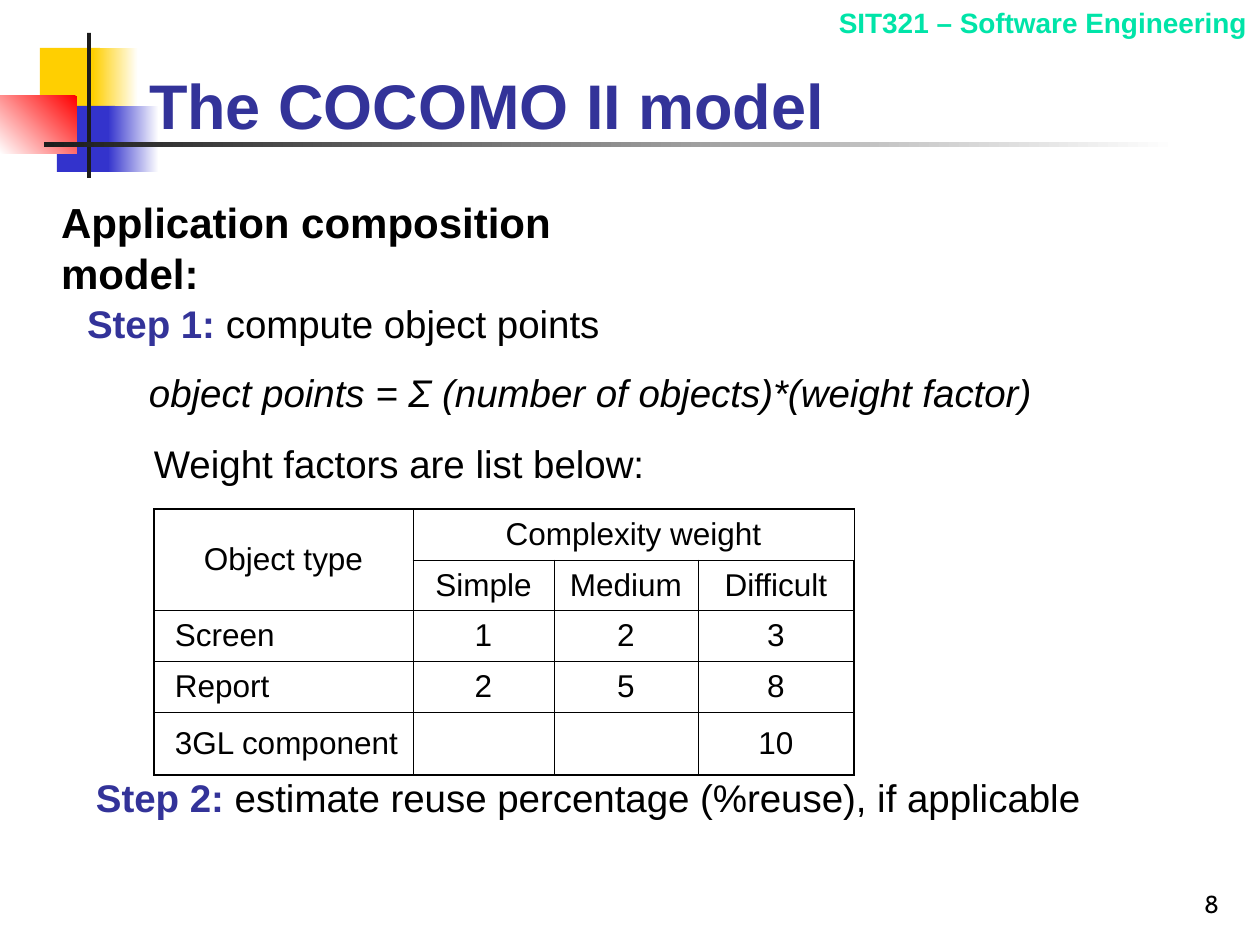
"""Build the COCOMO II slide on the application composition model."""
from dataclasses import dataclass

from lxml import etree
from pptx import Presentation
from pptx.dml.color import RGBColor
from pptx.enum.shapes import MSO_SHAPE
from pptx.enum.text import MSO_ANCHOR, PP_ALIGN
from pptx.oxml.ns import qn
from pptx.util import Emu, Pt

RECTANGLE = MSO_SHAPE.RECTANGLE
TOP, MIDDLE, BOTTOM = MSO_ANCHOR.TOP, MSO_ANCHOR.MIDDLE, MSO_ANCHOR.BOTTOM
LEFT, CENTER, RIGHT = PP_ALIGN.LEFT, PP_ALIGN.CENTER, PP_ALIGN.RIGHT
EMU_PER_PX = 914400 / 126


@dataclass(frozen=True)
class Theme:
    """Colours, fonts, type sizes and line widths of the slide."""
    black: str = "000000"
    white: str = "FFFFFF"
    heading: str = "333399"
    course: str = "00E4A8"
    yellow: str = "FFCF01"
    blue: str = "3333CC"
    red: str = "FF0000"
    bar: str = "1C1C1C"
    font: str = "Arial"
    number_font: str = "Cabin"
    title_size: int = 36
    subtitle_size: int = 24
    body_size: int = 22
    table_size: int = 18
    course_size: int = 16
    number_size: int = 14
    outer_line: float = 1.08
    inner_line: float = 0.45


THEME = Theme()

DECORATIONS = [
    ((40, 48, 60, 66), (THEME.yellow,), 0),
    ((93, 48, 45, 66), (THEME.white, THEME.yellow), 180),
    ((57, 106, 58, 66), (THEME.blue,), 0),
    ((108, 106, 51, 66), (THEME.white, THEME.blue), 180),
    ((0, 96, 77, 58), (THEME.red, THEME.white), 225),
    ((87, 33, 4, 145), (THEME.bar,), 0),
    ((44, 142, 1134, 5), (THEME.white, THEME.bar), 180),
]
WEIGHTS = [
    ["Object type", "Complexity weight", "", ""],
    ["", "Simple", "Medium", "Difficult"],
    ["Screen", "1", "2", "3"],
    ["Report", "2", "5", "8"],
    ["3GL component", "", "", "10"],
]
COLUMN_WIDTHS = [259, 141, 144, 156]
ROW_HEIGHTS = [51, 50, 51, 50, 63]
HEADER_ROWS = 2


def px(length):
    """Turn pixels into EMU."""
    return Emu(round(length * EMU_PER_PX))


def rgb(colour):
    """Turn a hex string into a colour."""
    return RGBColor.from_string(colour)


def add_decoration(slide, box, colours, angle):
    """Add a borderless rectangle with a plain or two-colour gradient fill."""
    block = slide.shapes.add_shape(RECTANGLE, *map(px, box))
    block.shadow.inherit = False
    block.line.fill.background()
    if len(colours) == 1:
        block.fill.solid()
        block.fill.fore_color.rgb = rgb(colours[0])
        return
    block.fill.gradient()
    block.fill.gradient_angle = angle
    for stop, colour in zip(block.fill.gradient_stops, colours):
        stop.color.rgb = rgb(colour)


def style_font(paragraph, size, colour=THEME.black, bold=False, italic=False, name=THEME.font):
    """Set the font of a whole paragraph."""
    font = paragraph.font
    font.name, font.size = name, Pt(size)
    font.bold, font.italic = bold, italic
    font.color.rgb = rgb(colour)


def add_text(slide, box, text, size, align=LEFT, anchor=TOP, inset=(0, 0), wrap=False, **style):
    """Add a one-line text box and return its paragraph."""
    frame = slide.shapes.add_textbox(*map(px, box)).text_frame
    frame.word_wrap = wrap
    frame.vertical_anchor = anchor
    frame.margin_left = frame.margin_right = px(inset[0])
    frame.margin_top = frame.margin_bottom = px(inset[1])
    paragraph = frame.paragraphs[0]
    paragraph.alignment = align
    style_font(paragraph, size, **style)
    if text:
        paragraph.add_run().text = text
    return paragraph


def add_step(slide, box, label, description):
    """Add a step line with a bold coloured label."""
    paragraph = add_text(slide, box, "", THEME.body_size)
    for text, colour, bold in ((label, THEME.heading, True), (description, THEME.black, False)):
        run = paragraph.add_run()
        run.text = text
        run.font.bold = bold
        run.font.color.rgb = rgb(colour)


def set_borders(cell, row, column):
    """Draw thick lines on the table's outside and thin ones within."""
    outside = {
        "a:lnL": column == 0,
        "a:lnR": column == len(COLUMN_WIDTHS) - 1,
        "a:lnT": row == 0,
        "a:lnB": row == len(ROW_HEIGHTS) - 1,
    }
    properties = cell._tc.get_or_add_tcPr()
    for tag, is_outer in outside.items():
        width = THEME.outer_line if is_outer else THEME.inner_line
        line = etree.SubElement(properties, qn(tag), w=str(Pt(width)))
        fill = etree.SubElement(line, qn("a:solidFill"))
        etree.SubElement(fill, qn("a:srgbClr"), val=THEME.black)


def fill_cell(cell, text, row, column):
    """Set the text, borders and fill of one table cell."""
    is_object_name = column == 0 and row >= HEADER_ROWS
    set_borders(cell, row, column)
    cell.fill.background()
    cell.vertical_anchor = MIDDLE
    cell.margin_left = px(21 if is_object_name else 12)
    cell.margin_right = px(12)
    paragraph = cell.text_frame.paragraphs[0]
    paragraph.alignment = LEFT if is_object_name else CENTER
    style_font(paragraph, THEME.table_size)
    if text:
        paragraph.add_run().text = text


def add_weight_table(slide, left, top):
    """Add the table of complexity weights by object type."""
    box = (left, top, sum(COLUMN_WIDTHS), sum(ROW_HEIGHTS))
    table = slide.shapes.add_table(len(ROW_HEIGHTS), len(COLUMN_WIDTHS), *map(px, box)).table
    table.first_row = table.horz_banding = False
    for column, width in zip(table.columns, COLUMN_WIDTHS):
        column.width = px(width)
    for row, height in zip(table.rows, ROW_HEIGHTS):
        row.height = px(height)
    for row, texts in enumerate(WEIGHTS):
        for column, text in enumerate(texts):
            fill_cell(table.cell(row, column), text, row, column)
    table.cell(0, 0).merge(table.cell(1, 0))
    table.cell(0, 1).merge(table.cell(0, 3))


def main():
    """Build and save the slide."""
    presentation = Presentation()
    presentation.slide_width, presentation.slide_height = px(1260), px(945)
    slide = presentation.slides.add_slide(presentation.slide_layouts[6])
    for box, colours, angle in DECORATIONS:
        add_decoration(slide, box, colours, angle)
    framed = {"inset": (13, 6), "wrap": True}
    add_text(slide, (823, 0, 437, 47), "SIT321 – Software Engineering", THEME.course_size,
             align=RIGHT, colour=THEME.course, bold=True, **framed)
    add_text(slide, (136, 50, 748, 98), "The COCOMO II model", THEME.title_size,
             anchor=BOTTOM, colour=THEME.heading, bold=True, **framed)
    add_text(slide, (61, 197, 639, 50), "Application composition model:",
             THEME.subtitle_size, bold=True)
    add_step(slide, (87, 300, 513, 47), "Step 1: ", "compute object points")
    add_text(slide, (149, 369, 883, 47), "object points = Σ (number of objects)*(weight factor)",
             THEME.body_size, italic=True)
    add_text(slide, (154, 440, 491, 47), "Weight factors are list below:", THEME.body_size)
    add_step(slide, (96, 774, 985, 47), "Step 2:",
             " estimate reuse percentage (%reuse), if applicable")
    add_weight_table(slide, 154, 509)
    add_text(slide, (970, 861, 262, 63), "8", THEME.number_size, align=RIGHT, anchor=BOTTOM,
             name=THEME.number_font, **framed)
    presentation.save("out.pptx")


if __name__ == "__main__":
    main()
